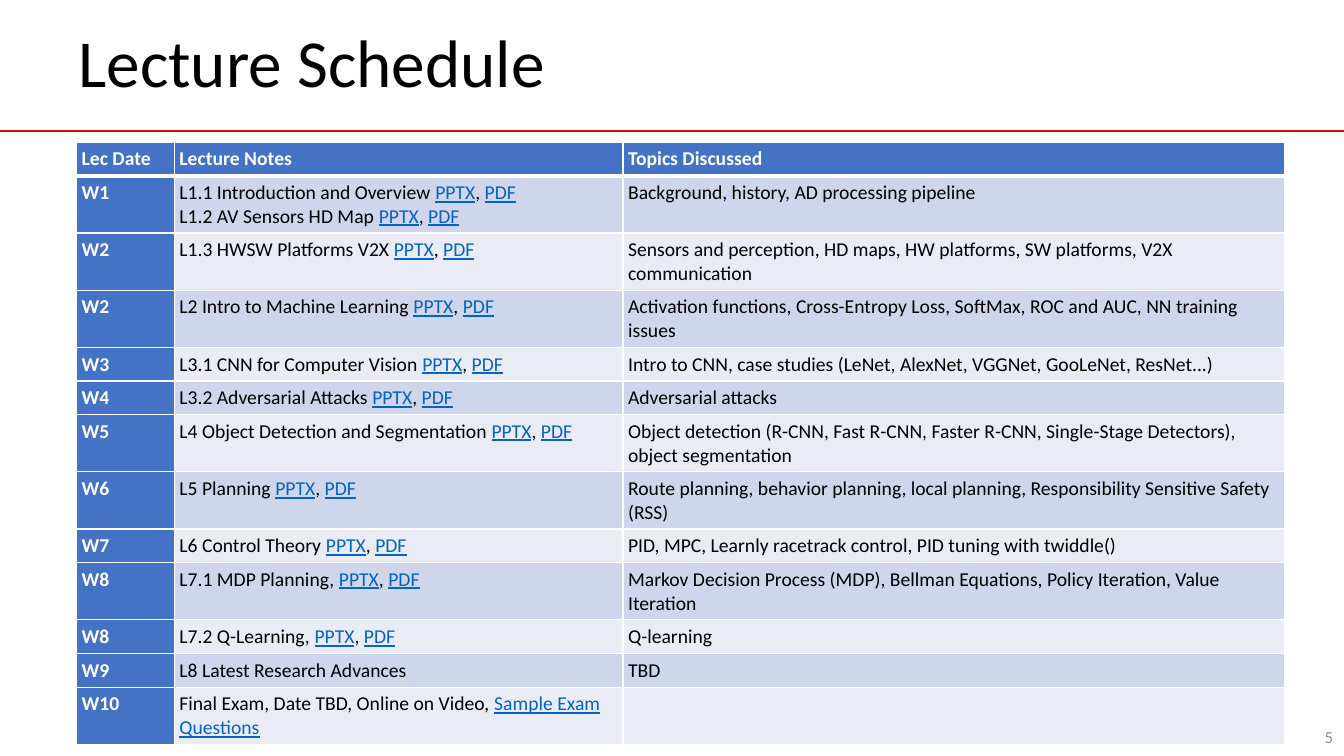
from lxml import etree
from pptx import Presentation
from pptx.dml.color import RGBColor
from pptx.enum.shapes import MSO_CONNECTOR
from pptx.enum.text import MSO_ANCHOR as ANCHOR, PP_ALIGN as ALIGN
from pptx.oxml.ns import qn
from pptx.util import Inches, Pt

COLORS = {
    "black": "000000", "white": "FFFFFF", "rule": "D40805", "head": "4472C4",
    "odd": "CFD5EA", "even": "E9EBF5", "link": "0563C1", "number": "8C8C8C",
}
FONT = "Calibri"
COL_WIDTHS = [0.97, 4.45, 6.56]
SHORT_ROW, TALL_ROW, WRAP_LENGTH = 0.29, 0.47, 75

# Text between bars is shown as a link
FILES = "|PPTX|, |PDF|"
HEADER = ("Lec Date", "Lecture Notes", "Topics Discussed")
LECTURES = [
    ("W1", f"L1.1 Introduction and Overview {FILES}\nL1.2 AV Sensors HD Map {FILES}",
     "Background, history, AD processing pipeline"),
    ("W2", f"L1.3 HWSW Platforms V2X {FILES}",
     "Sensors and perception, HD maps, HW platforms, SW platforms, V2X communication"),
    ("W2", f"L2 Intro to Machine Learning {FILES}",
     "Activation functions, Cross-Entropy Loss, SoftMax, ROC and AUC, NN training issues"),
    ("W3", f"L3.1 CNN for Computer Vision {FILES}",
     "Intro to CNN, case studies (LeNet, AlexNet, VGGNet, GooLeNet, ResNet...)"),
    ("W4", f"L3.2 Adversarial Attacks {FILES}", "Adversarial attacks"),
    ("W5", f"L4 Object Detection and Segmentation {FILES}",
     "Object detection (R-CNN, Fast R-CNN, Faster R-CNN, Single-Stage Detectors), "
     "object segmentation"),
    ("W6", f"L5 Planning {FILES}",
     "Route planning, behavior planning, local planning, "
     "Responsibility Sensitive Safety (RSS)"),
    ("W7", f"L6 Control Theory {FILES}",
     "PID, MPC, Learnly racetrack control, PID tuning with twiddle()"),
    ("W8", f"L7.1 MDP Planning, {FILES}",
     "Markov Decision Process (MDP), Bellman Equations, Policy Iteration, Value Iteration"),
    ("W8", f"L7.2 Q-Learning, {FILES}", "Q-learning"),
    ("W9", "L8 Latest Research Advances", "TBD"),
    ("W10", "Final Exam, Date TBD, Online on Video, |Sample Exam Questions|", ""),
]


def rgb(name):
    return RGBColor.from_string(COLORS[name])


def add_run(p, text, color, **font):
    r = p.add_run()
    r.text = text
    r.font.color.rgb = rgb(color)
    for key, value in {"name": FONT, **font}.items():
        setattr(r.font, key, value)


def add_text(s, box, text, size, color, **paragraph):
    tf = s.shapes.add_textbox(*map(Inches, box)).text_frame
    tf.word_wrap = True
    tf.vertical_anchor = ANCHOR.MIDDLE
    p = tf.paragraphs[0]
    for key, value in paragraph.items():
        setattr(p, key, value)
    add_run(p, text, color, size=Pt(size))


def add_rule(s, y, width):
    line = s.shapes.add_connector(
        MSO_CONNECTOR.STRAIGHT, 0, Inches(y), Inches(width), Inches(y))
    line.line.color.rgb = rgb("rule")
    line.line.width = Pt(1)
    etree.SubElement(line._element.spPr, qn("a:effectLst"))


def set_borders(cell, bottom):
    tc_pr = cell._tc.get_or_add_tcPr()
    for side, width in {"L": 1, "R": 1, "T": 1, "B": bottom}.items():
        ln = etree.SubElement(tc_pr, qn(f"a:ln{side}"), w=str(Pt(width)))
        fill = etree.SubElement(ln, qn("a:solidFill"))
        etree.SubElement(fill, qn("a:srgbClr"), val=COLORS["white"])


def fill_cell(cell, text, fill, color, bold, bottom=1):
    set_borders(cell, bottom)
    cell.fill.solid()
    cell.fill.fore_color.rgb = rgb(fill)
    for side in ("left", "top", "right", "bottom"):
        setattr(cell, f"margin_{side}", Inches(0.05))
    tf = cell.text_frame
    for i, line in enumerate(text.split("\n")):
        p = tf.add_paragraph() if i else tf.paragraphs[0]
        p.font.size = Pt(14)
        for j, part in enumerate(line.split("|")):
            if part:
                is_link = j % 2 == 1
                add_run(p, part, "link" if is_link else color,
                        size=Pt(14), bold=bold, underline=is_link)


def add_schedule(s, box):
    frame = s.shapes.add_table(len(LECTURES) + 1, len(HEADER), *map(Inches, box))
    table = frame.table
    for column, width in zip(table.columns, COL_WIDTHS):
        column.width = Inches(width)

    # Header row
    table.rows[0].height = Inches(SHORT_ROW)
    for col, text in enumerate(HEADER):
        fill_cell(table.cell(0, col), text, "head", "white", True, bottom=3)
    table.cell(0, 2).vertical_anchor = ANCHOR.MIDDLE

    # Lecture rows, taller where the text takes two lines
    for row, (week, notes, topics) in enumerate(LECTURES, 1):
        is_tall = "\n" in notes or len(topics) > WRAP_LENGTH
        table.rows[row].height = Inches(TALL_ROW if is_tall else SHORT_ROW)
        band = "odd" if row % 2 else "even"
        fill_cell(table.cell(row, 0), week, "head", "white", True)
        fill_cell(table.cell(row, 1), notes, band, "black", False)
        fill_cell(table.cell(row, 2), topics, band, "black", False)
    frame.height = Inches(box[3])


def main():
    prs = Presentation()
    prs.slide_width, prs.slide_height = Inches(13.33), Inches(7.5)
    s = prs.slides.add_slide(prs.slide_layouts[6])

    # Title and rule
    add_rule(s, 1.3, 13.33)
    add_text(s, (0.68, 0.07, 11.97, 1.17), "Lecture Schedule", 48, "black",
             line_spacing=0.9)

    # Schedule and slide number
    add_schedule(s, (0.76, 1.41, 11.97, 6.02))
    add_text(s, (10.32, 7.11, 3, 0.4), "5", 12, "number", alignment=ALIGN.RIGHT)

    prs.save("out.pptx")


if __name__ == "__main__":
    main()
